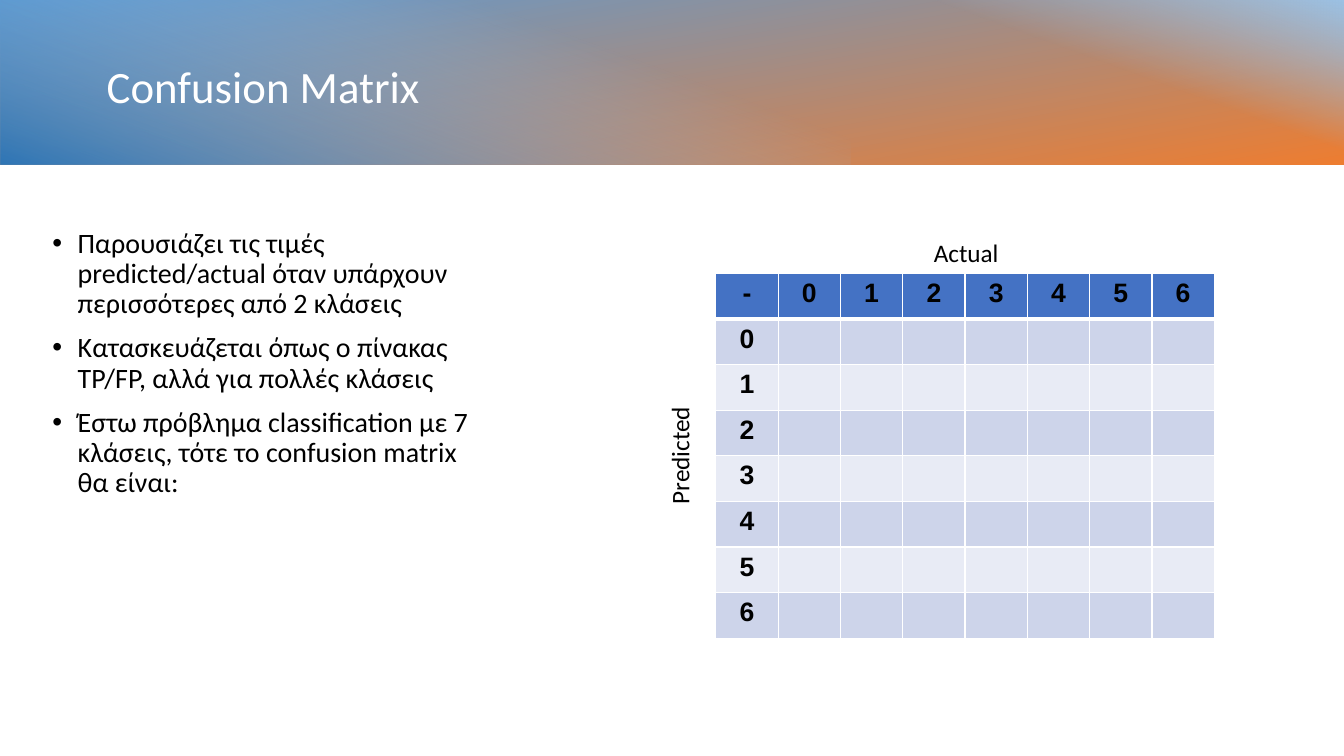
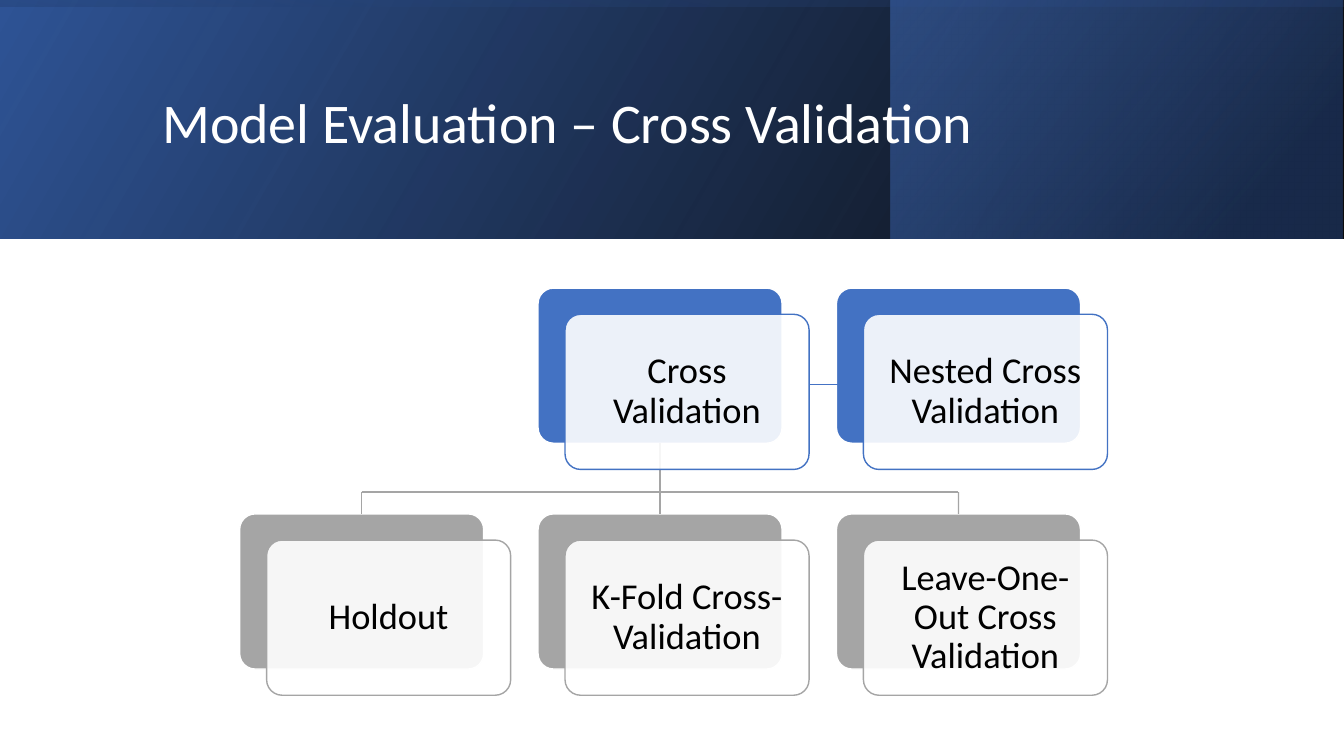
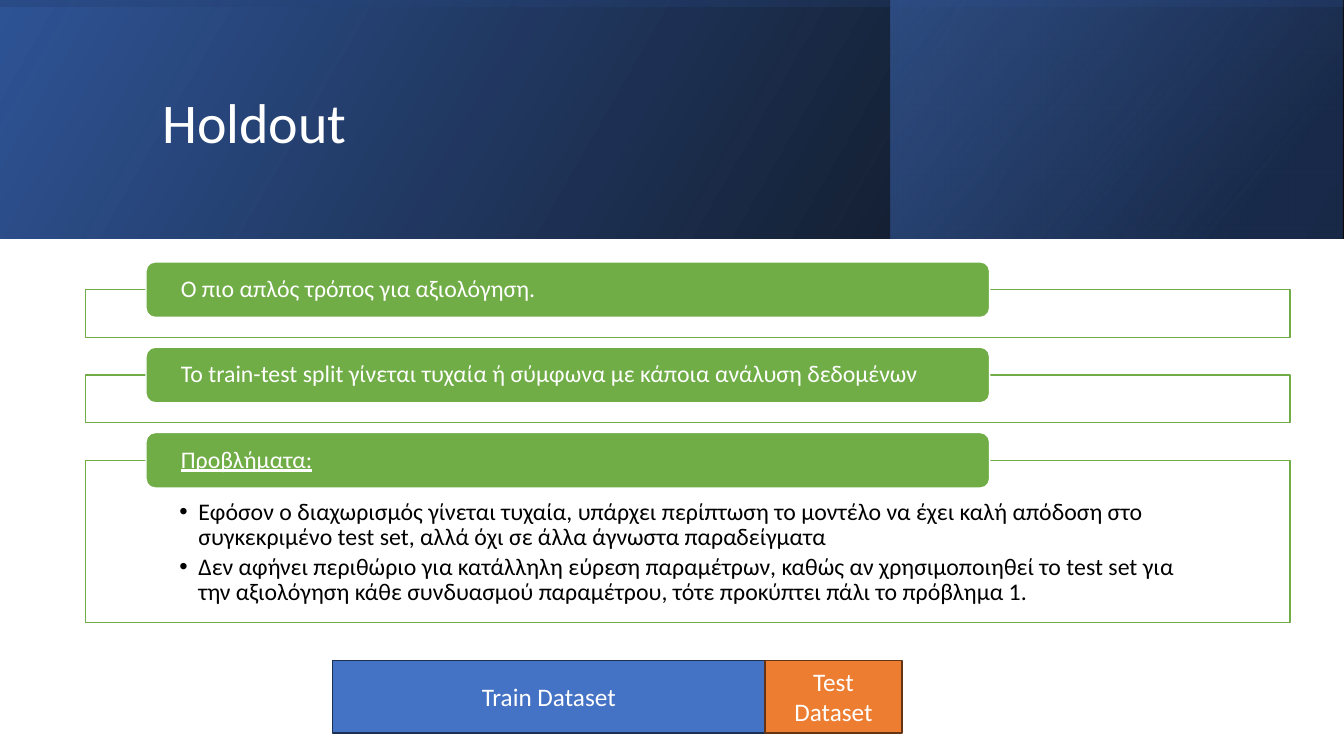
from lxml.etree import SubElement
from pptx import Presentation
from pptx.dml.color import RGBColor
from pptx.enum.shapes import MSO_CONNECTOR as Link, MSO_SHAPE as Preset
from pptx.enum.text import MSO_ANCHOR as Anchor, PP_ALIGN as Align
from pptx.oxml import parse_xml
from pptx.oxml.ns import nsdecls, qn
from pptx.util import Cm, Pt

# Colours
WHITE = RGBColor(0xFF, 0xFF, 0xFF)
BLACK = RGBColor(0x00, 0x00, 0x00)
BLUE = RGBColor(0x44, 0x72, 0xC4)
CARD_BLUE = RGBColor(0x43, 0x72, 0xC3)
NAVY = RGBColor(0x2F, 0x54, 0x96)
DEEP_NAVY = RGBColor(0x1F, 0x38, 0x64)
BLUE_EDGE = RGBColor(0x1C, 0x30, 0x52)
SKY = RGBColor(0x5B, 0x9B, 0xD5)
PALE_SKY = RGBColor(0x9C, 0xC2, 0xE5)
STRONG_SKY = RGBColor(0x2E, 0x75, 0xB5)
ORANGE = RGBColor(0xED, 0x7D, 0x31)
ORANGE_EDGE = RGBColor(0x64, 0x34, 0x14)
GREY = RGBColor(0xA5, 0xA5, 0xA5)
GREEN = RGBColor(0x70, 0xAD, 0x47)
ROW_BANDS = (RGBColor(0xE8, 0xEB, 0xF5), RGBColor(0xCD, 0xD4, 0xEA))

# Layout, in centimetres
PAGE_W, PAGE_H = 33.87, 19.05
INSETS = (0.25, 0.13, 0.25, 0.13)

# Title bands: box, gradient stops (position, colour, opacity), angle, turn, flip
SUNSET_BAND = (
    ((0, 0, PAGE_W, 4.14), ((0, SKY, 100), (100, ORANGE, 100)), 170, 270, False),
    ((19.82, 0, 14.05, 4.14),
     ((0, PALE_SKY, 0), (59, PALE_SKY, 0), (100, PALE_SKY, 100)), 20, 270, False),
    ((0, 0, 21.44, 4.14),
     ((0, PALE_SKY, 0), (29, PALE_SKY, 0), (100, STRONG_SKY, 100)), 20, 90, False),
)
NAVY_BAND = (
    ((0, 0, PAGE_W, 6.02), ((0, BLACK, 96), (100, NAVY, 100)), 330, 0, True),
    ((22.45, 0, 11.38, 6.02),
     ((0, DEEP_NAVY, 68), (19, DEEP_NAVY, 68), (100, BLUE, 48)), 320, 0, True),
    ((0, 0, PAGE_W, 6.02),
     ((0, NAVY, 16), (23, NAVY, 16), (99, BLACK, 45), (100, BLACK, 45)), 350, 270, True),
)


def apply(target, values):
    for name, value in values.items():
        setattr(target, name, value)


def lengths(values):
    return [Cm(value) for value in values]


class Deck:
    font = "Calibri"

    def __init__(self):
        self.prs = Presentation()
        apply(self.prs, {"slide_width": Cm(PAGE_W), "slide_height": Cm(PAGE_H)})
        self.slide = None

    def start(self, title, band, box, size):
        self.slide = self.prs.slides.add_slide(self.prs.slide_layouts[6])
        for layer in band:
            self.gradient(*layer)
        self.text(box, [title], size, WHITE, anchor=Anchor.MIDDLE, spacing=0.9)

    def gradient(self, box, stops, angle, turn, flip):
        left, top, width, height = box
        if turn:
            left, top = left + (width - height) / 2, top + (height - width) / 2
            width, height = height, width
        layer = self.shape(Preset.RECTANGLE, (left, top, width, height))
        layer.rotation = turn
        props = layer._element.spPr
        if flip:
            props.xfrm.set("flipH", "1")
        marks = "".join(
            f'<a:gs pos="{pos * 1000}"><a:srgbClr val="{colour}">'
            f'<a:alpha val="{opacity * 1000}"/></a:srgbClr></a:gs>'
            for pos, colour, opacity in stops)
        props.insert(2, parse_xml(
            f'<a:gradFill {nsdecls("a")} rotWithShape="1"><a:gsLst>{marks}</a:gsLst>'
            f'<a:lin ang="{angle * 60000}" scaled="0"/></a:gradFill>'))

    def shape(self, preset, box, fill=None, line=None, opacity=100, corner=None):
        shape = self.slide.shapes.add_shape(preset, *lengths(box))
        shape.shadow.inherit = False
        if corner is not None:
            shape.adjustments[0] = corner
        if fill is not None:
            shape.fill.solid()
            shape.fill.fore_color.rgb = fill
            if opacity < 100:
                colour = shape._element.spPr.find(qn("a:solidFill"))[0]
                SubElement(colour, qn("a:alpha"), val=str(opacity * 1000))
        if line is None:
            shape.line.fill.background()
        else:
            shape.line.color.rgb = line
            shape.line.width = Pt(1)
        return shape

    def text(self, box, paragraphs, size, colour, turn=0, **style):
        holder = self.slide.shapes.add_textbox(*lengths(box))
        holder.rotation = turn
        self.label(holder.text_frame, paragraphs, size, colour, **style)

    def label(self, frame, paragraphs, size, colour, anchor=Anchor.TOP, insets=INSETS,
              align=Align.LEFT, spacing=1.0, gap=0, hang=0, underline=None):
        sides = ("margin_left", "margin_top", "margin_right", "margin_bottom")
        apply(frame, {"word_wrap": True, "vertical_anchor": anchor,
                      **dict(zip(sides, lengths(insets)))})
        for index, words in enumerate(paragraphs):
            para = frame.add_paragraph() if index else frame.paragraphs[0]
            apply(para, {"alignment": align, "line_spacing": spacing,
                         "space_before": Pt(gap if index else 0)})
            if hang:
                self.bullet(para, hang, colour)
            run = para.add_run()
            run.text = words
            apply(run.font, {"name": self.font, "size": Pt(size), "underline": underline})
            run.font.color.rgb = colour

    def bullet(self, para, hang, colour):
        props = para._p.get_or_add_pPr()
        props.set("marL", str(Cm(hang)))
        props.set("indent", str(-Cm(hang)))
        SubElement(SubElement(props, qn("a:buClr")), qn("a:srgbClr"), val=str(colour))
        SubElement(props, qn("a:buFont"), typeface="Arial")
        SubElement(props, qn("a:buChar"), char="•")

    def line(self, start, end, colour, width=1.0, source=None, target=None):
        link = self.slide.shapes.add_connector(Link.STRAIGHT, *lengths(start + end))
        link.line.color.rgb = colour
        link.line.width = Pt(width)
        SubElement(link._element.spPr, qn("a:effectLst"))
        if source is not None:
            link.begin_connect(source, 2)
        if target is not None:
            link.end_connect(target, 0)

    def matrix(self, left, top, cell_w, cell_h, labels):
        count = len(labels)
        table = self.slide.shapes.add_table(
            count, count, *lengths((left, top, cell_w * count, cell_h * count))).table
        for index in range(count):
            table.columns[index].width = Cm(cell_w)
            table.rows[index].height = Cm(cell_h)
        for row in range(count):
            for col in range(count):
                cell = table.cell(row, col)
                cell.fill.solid()
                cell.fill.fore_color.rgb = ROW_BANDS[row % 2] if row else BLUE
                self.borders(cell, bottom=1 if row else 3, top=3 if row == 1 else 1)
                if row and col:
                    continue
                para = cell.text_frame.paragraphs[0]
                para.alignment = Align.CENTER
                run = para.add_run()
                run.text = labels[row + col]
                apply(run.font, {"name": "Arial", "size": Pt(19), "bold": True})
                run.font.color.rgb = BLACK

    def borders(self, cell, top, bottom):
        props = cell._tc.get_or_add_tcPr()
        edges = (("L", 1), ("R", 1), ("T", top), ("B", bottom))
        for index, (side, width) in enumerate(edges):
            props.insert(index, parse_xml(
                f'<a:ln{side} {nsdecls("a")} w="{Pt(width)}"><a:solidFill>'
                f'<a:srgbClr val="{WHITE}"/></a:solidFill></a:ln{side}>'))


def confusion_matrix(deck):
    deck.start("Confusion Matrix", SUNSET_BAND, (2.44, 0.84, 29.11, 2.79), 32)
    deck.text((1.07, 5.64, 11.33, 8.31), [
        "Παρουσιάζει τις τιμές predicted/actual όταν υπάρχουν περισσότερες από 2 κλάσεις",
        "Κατασκευάζεται όπως ο πίνακας TP/FP, αλλά για πολλές κλάσεις",
        "Έστω πρόβλημα classification με 7 κλάσεις, τότε το confusion matrix θα είναι:",
    ], 20, BLACK, spacing=0.9, gap=10, hang=0.64)
    deck.matrix(18.04, 6.89, 1.57, 1.15, "-0123456")
    deck.text((15.52, 10.97, 3.2, 1.02), ["Predicted"], 18, BLACK, turn=270,
              align=Align.CENTER)
    deck.text((23.15, 5.84, 2.4, 1.02), ["Actual"], 18, BLACK, align=Align.CENTER)


def cross_validation(deck):
    deck.start("Model Evaluation – Cross Validation", NAVY_BAND,
               (3.84, 0.97, 27, 4.37), 40)
    card_w, card_h = 6.15, 3.91
    columns = [6.04 + 7.52 * index for index in range(3)]
    upper, lower = 7.26, 12.95
    cards = (
        ("Cross Validation", columns[1], upper, CARD_BLUE),
        ("Nested Cross Validation", columns[2], upper, CARD_BLUE),
        ("Holdout", columns[0], lower, GREY),
        ("K-Fold Cross-Validation", columns[1], lower, GREY),
        ("Leave-One-Out Cross Validation", columns[2], lower, GREY),
    )

    # Coloured backs
    root, _, holdout, k_fold, leave_one_out = [
        deck.shape(Preset.ROUNDED_RECTANGLE, (left, top, card_w, card_h), colour, WHITE,
                   corner=0.1)
        for _, left, top, colour in cards]

    # Branches
    first, middle, last = [left + card_w / 2 for left in columns]
    fork = 12.4
    deck.line((middle, upper + card_h), (middle, lower), GREY, source=root, target=k_fold)
    deck.line((first, fork), (last, fork), GREY)
    for centre, method in ((first, holdout), (last, leave_one_out)):
        deck.line((centre, fork), (centre, lower), GREY, target=method)

    # Labelled fronts
    for name, left, top, colour in cards:
        front = deck.shape(Preset.ROUNDED_RECTANGLE,
                           (left + 0.68, top + 0.66, card_w, card_h), WHITE, colour,
                           opacity=90, corner=0.1)
        deck.label(front.text_frame, [name], 26, BLACK, anchor=Anchor.MIDDLE,
                   insets=(0.28,) * 4, align=Align.CENTER, spacing=0.9)
    deck.line((20.4, 9.7), (21.16, 9.7), BLUE, 0.75)


def holdout_method(deck):
    deck.start("Holdout", NAVY_BAND, (3.84, 0.97, 27, 4.37), 40)

    # Headed frames
    problems = [
        "Εφόσον ο διαχωρισμός γίνεται τυχαία, υπάρχει περίπτωση το μοντέλο να έχει καλή "
        "απόδοση στο συγκεκριμένο test set, αλλά όχι σε άλλα άγνωστα παραδείγματα",
        "Δεν αφήνει περιθώριο για κατάλληλη εύρεση παραμέτρων, καθώς αν χρησιμοποιηθεί "
        "το test set για την αξιολόγηση κάθε συνδυασμού παραμέτρου, τότε προκύπτει πάλι "
        "το πρόβλημα 1.",
    ]
    sections = (
        ("Ο πιο απλός τρόπος για αξιολόγηση.", [], 1.2),
        ("Το train-test split γίνεται τυχαία ή σύμφωνα με κάποια ανάλυση δεδομένων", [], 1.2),
        ("Προβλήματα:", problems, 4.09),
    )
    heading_h = 1.4
    for index, (heading, points, frame_h) in enumerate(sections):
        top = 6.6 + 2.15 * index
        frame = deck.shape(Preset.RECTANGLE, (2.16, top + heading_h / 2, 30.35, frame_h),
                           WHITE, GREEN, opacity=90)
        if points:
            deck.label(frame.text_frame, points, 17, BLACK, spacing=0.9, gap=2.5, hang=0.48,
                       insets=(2.36, 0.99, 2.36, 0.33))
        bar = deck.shape(Preset.ROUNDED_RECTANGLE, (3.68, top, 21.26, heading_h),
                         GREEN, WHITE, corner=0.167)
        deck.label(bar.text_frame, [heading], 17, WHITE, anchor=Anchor.MIDDLE, spacing=0.9,
                   insets=(0.81, 0, 0.81, 0), underline=True if points else None)

    # Data split
    left = 8.38
    for name, width, fill, edge in (("Train Dataset", 10.9, BLUE, BLUE_EDGE),
                                    ("Test Dataset", 3.45, ORANGE, ORANGE_EDGE)):
        part = deck.shape(Preset.RECTANGLE, (left, 16.64, width, 1.83), fill, edge)
        deck.label(part.text_frame, [name], 18, WHITE, anchor=Anchor.MIDDLE,
                   align=Align.CENTER)
        left += width


def main():
    deck = Deck()
    for build in (confusion_matrix, cross_validation, holdout_method):
        build(deck)
    deck.prs.save("out.pptx")


if __name__ == "__main__":
    main()
